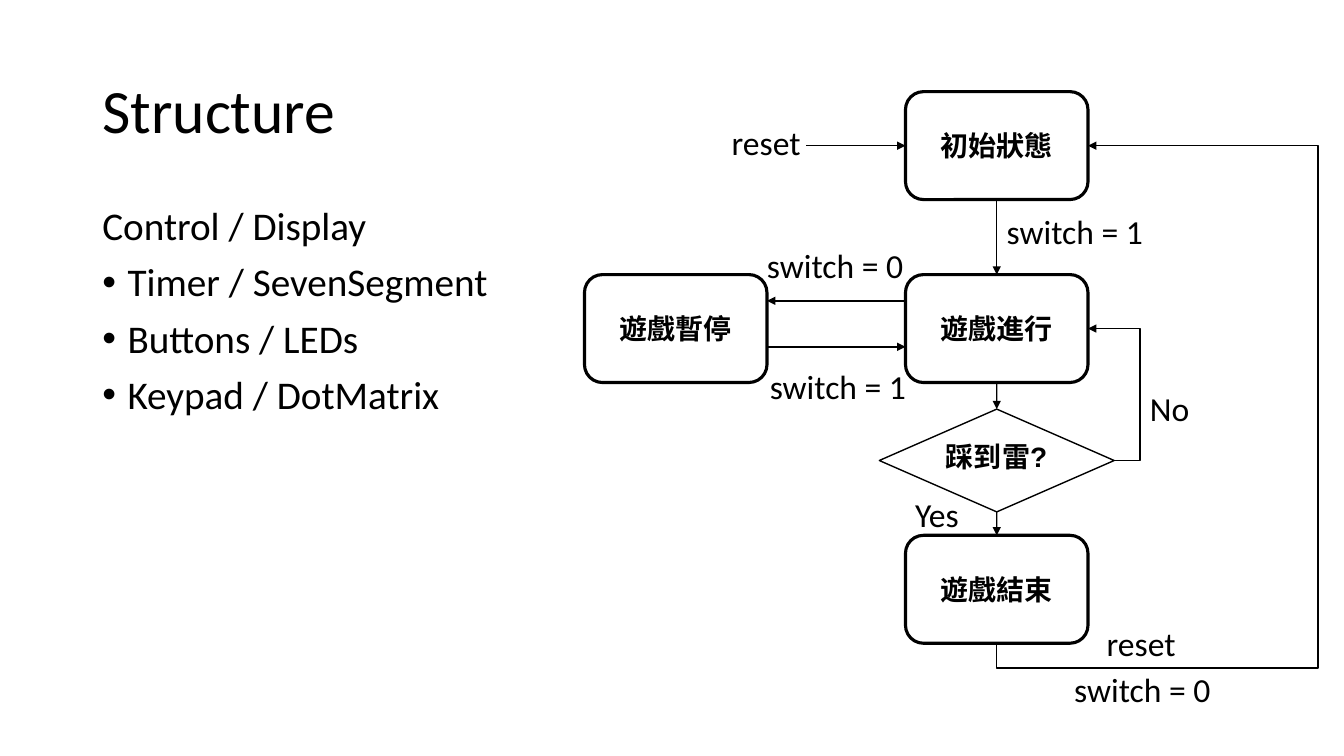
from pptx import Presentation
from pptx.dml.color import RGBColor as RGB
from pptx.enum.shapes import MSO_CONNECTOR as Link, MSO_SHAPE as Kind
from pptx.enum.text import MSO_ANCHOR as Anchor, PP_ALIGN as Align
from pptx.oxml.ns import qn
from pptx.oxml.xmlchemy import OxmlElement as Node
from pptx.util import Cm, Pt

# Content (lengths in cm)
INK = {"text": "000000", "line": "000000"}
TITLE = ["Structure"]
TOPICS = ["Control / Display", "Timer / SevenSegment", "Buttons / LEDs", "Keypad / DotMatrix"]

MID, SIDE = 25.12, 17.03  # centres of the two columns
WIDE, TALL = 4.6, 2.72  # state box
STATES = {  # name: (text, centre x, top)
    "start": ("初始狀態", MID, 2.31),
    "play": ("遊戲進行", MID, 6.92),
    "pause": ("遊戲暫停", SIDE, 6.92),
    "over": ("遊戲結束", MID, 13.49),
}
TEST = ("踩到雷?", MID, 10.31, 5.92, 2.59)
LABELS = [  # text, left, top, width
    ("reset", 18.19, 2.95, 2.82),
    ("No", 28.73, 9.65, 2.82),
    ("reset", 27.64, 15.57, 2.82),
    ("switch = 0", 26.82, 16.74, 4.42),
    ("switch = 0", 19.08, 6.05, 4.42),
    ("switch = 1", 19.15, 9.09, 4.42),
    ("switch = 1", 25.12, 5.18, 4.42),
    ("Yes", 22.81, 12.32, 4.42),
]
STEPS = [("start", "play"), ("play", "test"), ("test", "over")]
TOP, LEFT, BASE, RIGHT = range(4)

deck = Presentation()
deck.slide_width, deck.slide_height = Cm(33.87), Cm(19.05)
slide = deck.slides.add_slide(deck.slide_layouts[6])
shapes = slide.shapes


def write(shape, lines, size, font="Calibri", bold=False, align=Align.LEFT,
          anchor=Anchor.TOP, space=None, gap=0, dots=False):
    frame = shape.text_frame
    frame.word_wrap = True
    frame.vertical_anchor = anchor
    for i, line in enumerate(lines):
        para = frame.paragraphs[0] if i == 0 else frame.add_paragraph()
        para.alignment = align
        if space:
            para.line_spacing = space
        if i and gap:
            para.space_before = Pt(gap)
        if i and dots:
            props = para._p.get_or_add_pPr()
            props.set("marL", str(Cm(0.635)))
            props.set("indent", str(-Cm(0.635)))
            for tag, key, value in (("a:buFont", "typeface", "Arial"), ("a:buChar", "char", "•")):
                node = Node(tag)
                node.set(key, value)
                props.append(node)
        run = para.add_run()
        run.text = line
        run.font.name, run.font.size, run.font.bold = font, Pt(size), bold
        run.font.color.rgb = RGB.from_string(INK["text"])


def text(x, y, w, h, lines, size, **form):
    write(shapes.add_textbox(Cm(x), Cm(y), Cm(w), Cm(h)), lines, size, **form)


def block(kind, name, mid, top, w, h, weight, **form):
    shape = shapes.add_shape(kind, Cm(mid - w / 2), Cm(top), Cm(w), Cm(h))
    shape.shadow.inherit = False
    shape.fill.background()
    shape.line.color.rgb = RGB.from_string(INK["line"])
    shape.line.width = Pt(weight)
    write(shape, [name], 20, font="Arial", bold=True, **form)
    return shape


def arrow(x1, y1, x2, y2, kind=Link.STRAIGHT):
    link = shapes.add_connector(kind, Cm(x1), Cm(y1), Cm(x2), Cm(y2))
    link.line.color.rgb = RGB.from_string(INK["line"])
    link.line.width = Pt(1)
    tip = Node("a:tailEnd")
    tip.set("type", "triangle")
    link.line._get_or_add_ln().append(tip)
    link._element.spPr.append(Node("a:effectLst"))
    return link


def bend(link, *parts):
    shape = link._element.spPr.find(qn("a:prstGeom"))
    shape.set("prst", f"bentConnector{len(parts) + 2}")
    guides = shape.get_or_add_avLst()
    for i, part in enumerate(parts, 1):
        guide = Node("a:gd")
        guide.set("name", f"adj{i}")
        guide.set("fmla", f"val {round(part * 100000)}")
        guides.append(guide)


# Title and topics
text(2.33, 1.01, 29.21, 3.68, TITLE, 44, anchor=Anchor.MIDDLE, space=0.9)
text(2.33, 5.08, 29.21, 12.09, TOPICS, 28, space=0.9, gap=10, dots=True)

# States and decision
nodes = {
    key: block(Kind.FLOWCHART_ALTERNATE_PROCESS, name, mid, top, WIDE, TALL, 2.25,
               align=Align.CENTER, anchor=Anchor.MIDDLE)
    for key, (name, mid, top) in STATES.items()
}
test = nodes["test"] = block(Kind.FLOWCHART_DECISION, *TEST, 1)
test.text_frame.margin_left, test.text_frame.margin_right = Cm(0.2), 0

# Downward steps
for above, below in STEPS:
    link = arrow(MID, 0, MID, 1)
    link.begin_connect(nodes[above], BASE)
    link.end_connect(nodes[below], TOP)

# Reset entry, pause and resume
edge = MID - WIDE / 2
row = STATES["start"][2] + TALL / 2
arrow(20.32, row, edge, row).end_connect(nodes["start"], LEFT)
arrow(edge, 7.58, SIDE + WIDE / 2, 7.58)
arrow(SIDE + WIDE / 2, 8.74, edge, 8.74)

# "No" loop back to play
edge = MID + WIDE / 2
tip = MID + TEST[3] / 2
loop = arrow(tip, TEST[2] + TEST[4] / 2, edge, STATES["play"][2] + TALL / 2, Link.ELBOW)
bend(loop, (tip - 28.73) / (tip - edge))

# Reset loop back to start: a box turned by 270 degrees
foot = STATES["over"][2] + TALL
rise, run = foot - row, edge - MID
x, y = (MID + edge - rise) / 2, (row + foot - run) / 2
loop = arrow(x, y, x + rise, y + run, Link.ELBOW)
bend(loop, (foot - 16.84) / rise, (33.22 - MID) / run)
loop._element.spPr.find(qn("a:xfrm")).set("rot", str(270 * 60000))

# Labels
for name, x, y, w in LABELS:
    text(x, y, w, 1.27, [name], 24)

deck.save("out.pptx")
